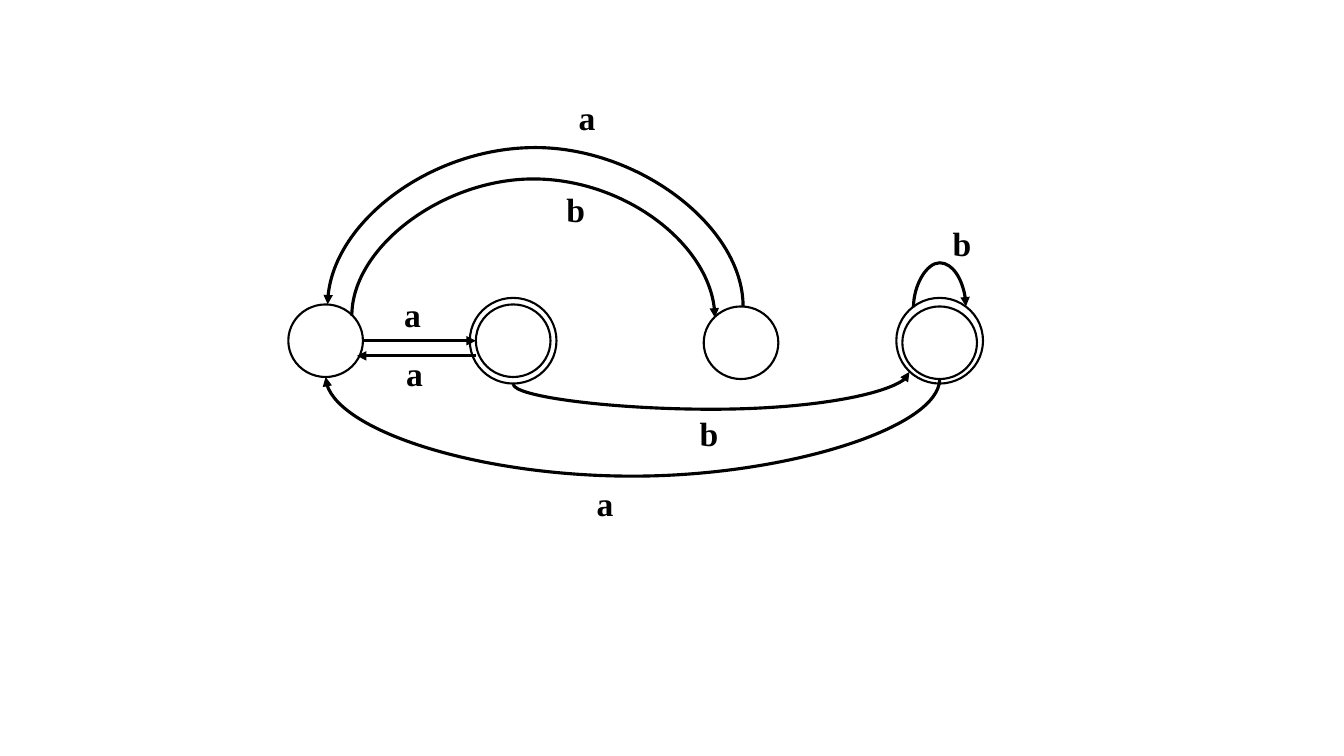
from pptx import Presentation
from pptx import util as u
from pptx.dml.color import RGBColor
from pptx.enum import shapes, text
from lxml import etree

BLACK = RGBColor(0, 0, 0)
SIZE = 13.33, 7.5
FONT = {"name": "Times New Roman", "size": u.Pt(24), "bold": True}
INNER = 0.74, 0.72
OUTER = 0.86, 0.85
RINGS = [
    (3.23, 3.38, INNER), (5.09, 3.38, INNER), (5.09, 3.38, OUTER),
    (7.35, 3.4, INNER), (9.32, 3.4, INNER), (9.32, 3.38, OUTER),
]
LINES = [((3.6, 3.38), (4.72, 3.38)), ((4.72, 3.53), (3.54, 3.53))]
ARCS = [
    ((9.06, 3.05), (9.58, 3.04), 2.6),
    ((7.37, 3.04), (3.25, 3.02), 1.47),
    ((3.49, 3.13), (7.09, 3.15), 1.78),
    ((5.09, 3.81), (9.02, 3.69), 4.06),
    ((9.32, 3.76), (3.23, 3.74), 4.72),
]
LABELS = [
    ("a", 3.91, 2.87), ("a", 5.64, 0.91), ("a", 3.93, 3.45),
    ("b", 5.52, 1.83), ("b", 9.35, 2.16), ("b", 6.84, 4.05),
    ("a", 5.82, 4.74),
]

deck = Presentation()
deck.slide_width, deck.slide_height = map(u.Inches, SIZE)
slide = deck.slides.add_slide(deck.slide_layouts[6])
NS = "{http://schemas.openxmlformats.org/drawingml/2006/main}"


def ring(x, y, size):
    w, h = size
    box = map(u.Inches, (x - w / 2, y - h / 2, w, h))
    item = slide.shapes.add_shape(shapes.MSO_SHAPE.OVAL, *box)
    item.shadow.inherit = False
    item.fill.background()
    item.line.color.rgb = BLACK
    item.line.width = u.Pt(1.5)


def arrow(kind, start, end):
    ends = map(u.Inches, start + end)
    item = slide.shapes.add_connector(kind, *ends)
    item.line.color.rgb = BLACK
    item.line.width = u.Pt(2.25)
    props = item._element.spPr
    etree.SubElement(props.find(NS + "ln"), NS + "tailEnd", type="triangle")
    etree.SubElement(props, NS + "effectLst")
    return item


def arc(start, end, peak):
    item = arrow(shapes.MSO_CONNECTOR.CURVE, start, end)
    (x, y), (to, low) = start, end
    wide, tall = abs(to - x), abs(low - y)
    place = {"left": (x + to - tall) / 2, "top": (y + low - wide) / 2,
             "width": tall, "height": wide}
    for key, value in place.items():
        setattr(item, key, u.Inches(value))
    down = low > y
    frame = item._element.spPr.find(NS + "xfrm")
    frame.attrib.pop("flipH", None)
    frame.set("rot", str((90 if down else 270) * 60000))
    frame.set("flipV", str(int(down == (to > x))))
    shape = item._element.spPr.find(NS + "prstGeom")
    bend = round((peak - y) / (low - y) * 100000)
    etree.SubElement(shape.find(NS + "avLst"), NS + "gd",
                     name="adj1", fmla=f"val {bend}")


def label(word, x, y):
    box = slide.shapes.add_textbox(*map(u.Inches, (x, y, 0.59, 0.5)))
    frame = box.text_frame
    frame.word_wrap = True
    frame.auto_size = text.MSO_AUTO_SIZE.SHAPE_TO_FIT_TEXT
    run = frame.paragraphs[0].add_run()
    run.text = word
    for key, value in FONT.items():
        setattr(run.font, key, value)
    run.font.color.rgb = BLACK


for item in RINGS:
    ring(*item)
for item in LINES:
    arrow(shapes.MSO_CONNECTOR.STRAIGHT, *item)
for item in ARCS:
    arc(*item)
for item in LABELS:
    label(*item)

deck.save("out.pptx")
